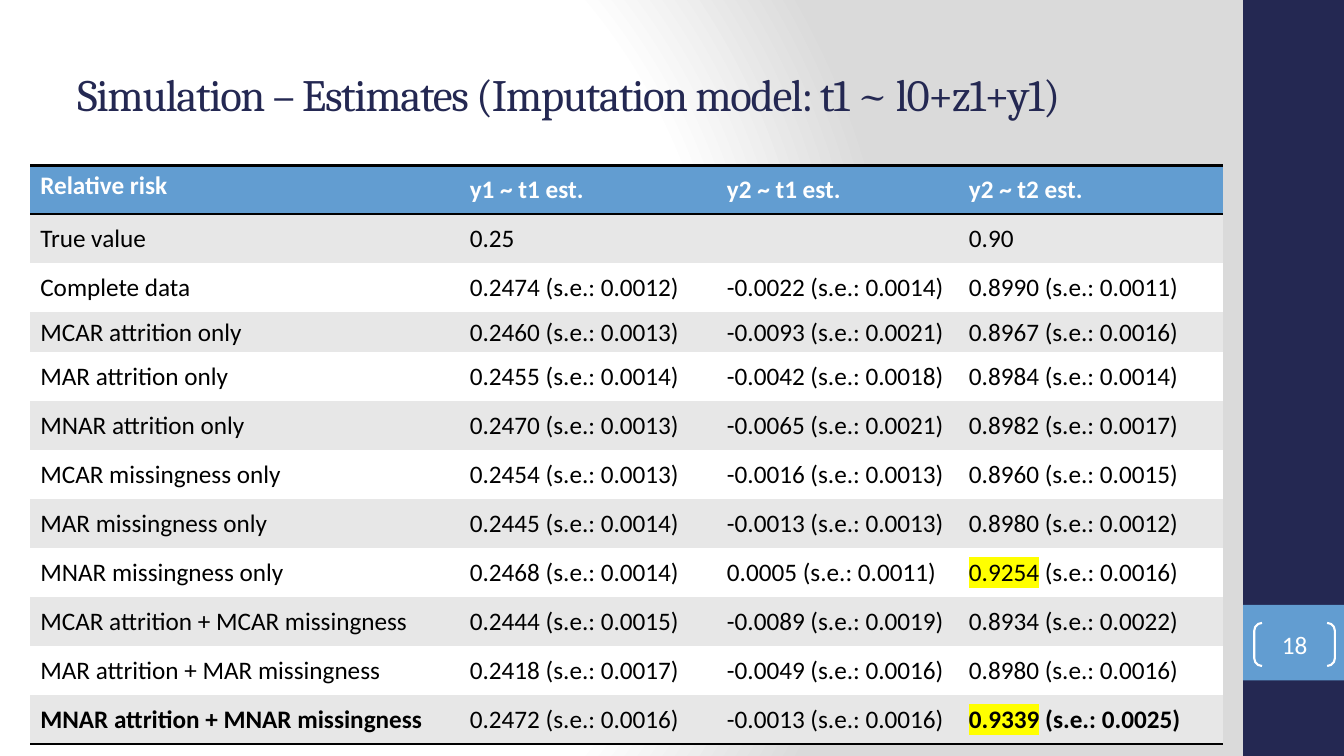
from dataclasses import dataclass

from lxml import etree
from pptx import Presentation
from pptx.dml.color import RGBColor
from pptx.enum.shapes import MSO_SHAPE
from pptx.enum.text import MSO_ANCHOR, PP_ALIGN
from pptx.oxml import parse_xml
from pptx.oxml.ns import qn
from pptx.util import Inches, Pt

RECTANGLE = MSO_SHAPE.RECTANGLE
BRACKETS = MSO_SHAPE.DOUBLE_BRACKET
TOP, MIDDLE = MSO_ANCHOR.TOP, MSO_ANCHOR.MIDDLE
CENTER = PP_ALIGN.CENTER
NAMESPACE = "http://schemas.openxmlformats.org/drawingml/2006/main"
PLAIN_TABLE_STYLE = "{2D5ABB26-0587-4C30-8999-92F81FD0307C}"


@dataclass(frozen=True)
class Theme:
    """Colours, fonts and type sizes of the slide."""
    navy: str = "242852"
    blue: str = "629DD1"
    white: str = "FFFFFF"
    black: str = "000000"
    band: str = "E7E7E7"
    edge: str = "DADADA"
    marker: str = "FFFF00"
    title_font: str = "Cambria"
    body_font: str = "Calibri"
    title_size: int = 32
    body_size: int = 18
    rule: int = 2


@dataclass(frozen=True)
class Box:
    """A rectangle in inches."""
    left: float
    top: float
    width: float
    height: float

    def portion(self, left, top, width, height):
        """Return the box covering the given shares of this one."""
        return Box(self.left + left * self.width, self.top + top * self.height,
                   width * self.width, height * self.height)

    def lengths(self):
        """Return left, top, width and height for python-pptx."""
        return [Inches(value) for value in (self.left, self.top, self.width, self.height)]


THEME = Theme()
SLIDE = Box(0, 0, 13.33, 7.5)
TITLE = Box(0.67, 0.3, 11.11, 1.25)
TABLE = Box(0.3, 1.64, 11.84, 5.72)
SIDEBAR = Box(12.33, 0, 1, 7.5)
COLUMN_WIDTHS = (4.26, 2.55, 2.4, 2.62)
SHORT_ROW, SHORT_HEIGHT = 3, 0.38

HEADER = ("Relative risk", "y1 ~ t1 est.", "y2 ~ t1 est.", "y2 ~ t2 est.")
ESTIMATES = (
    ("True value", "0.25", "", "0.90"),
    ("Complete data", "0.2474 (s.e.: 0.0012)", "-0.0022 (s.e.: 0.0014)", "0.8990 (s.e.: 0.0011)"),
    ("MCAR attrition only", "0.2460 (s.e.: 0.0013)", "-0.0093 (s.e.: 0.0021)", "0.8967 (s.e.: 0.0016)"),
    ("MAR attrition only", "0.2455 (s.e.: 0.0014)", "-0.0042 (s.e.: 0.0018)", "0.8984 (s.e.: 0.0014)"),
    ("MNAR attrition only", "0.2470 (s.e.: 0.0013)", "-0.0065 (s.e.: 0.0021)", "0.8982 (s.e.: 0.0017)"),
    ("MCAR missingness only", "0.2454 (s.e.: 0.0013)", "-0.0016 (s.e.: 0.0013)", "0.8960 (s.e.: 0.0015)"),
    ("MAR missingness only", "0.2445 (s.e.: 0.0014)", "-0.0013 (s.e.: 0.0013)", "0.8980 (s.e.: 0.0012)"),
    ("MNAR missingness only", "0.2468 (s.e.: 0.0014)", "0.0005 (s.e.: 0.0011)", "0.9254 (s.e.: 0.0016)"),
    ("MCAR attrition + MCAR missingness", "0.2444 (s.e.: 0.0015)", "-0.0089 (s.e.: 0.0019)",
     "0.8934 (s.e.: 0.0022)"),
    ("MAR attrition + MAR missingness", "0.2418 (s.e.: 0.0017)", "-0.0049 (s.e.: 0.0016)",
     "0.8980 (s.e.: 0.0016)"),
    ("MNAR attrition + MNAR missingness", "0.2472 (s.e.: 0.0016)", "-0.0013 (s.e.: 0.0016)",
     "0.9339 (s.e.: 0.0025)"),
)
MARKED_VALUES = ("0.9254", "0.9339")
BOLD_CELLS = {(len(ESTIMATES), 0), (len(ESTIMATES), 3)}


def color(value):
    """Turn a hex string into a colour."""
    return RGBColor.from_string(value)


def add_run(paragraph, text, text_color, font=THEME.body_font, size=THEME.body_size, bold=False):
    """Add one formatted run to a paragraph."""
    run = paragraph.add_run()
    run.text = text
    run.font.name, run.font.size, run.font.bold = font, Pt(size), bold
    run.font.color.rgb = color(text_color)
    return run


def highlight(run):
    """Put the marker colour behind a run."""
    mark = etree.Element(qn("a:highlight"))
    etree.SubElement(mark, qn("a:srgbClr"), val=THEME.marker)
    run._r.get_or_add_rPr().find(qn("a:solidFill")).addnext(mark)


def paint_background(slide):
    """Fill the slide with a circular white to grey gradient."""
    fill = slide.background.fill
    fill.solid()
    fill.fore_color.rgb = color(THEME.white)
    stops = "".join(
        f'<a:gs pos="{share * 1000}"><a:srgbClr val="{value}"/></a:gs>'
        for share, value in ((0, THEME.white), (75, THEME.white), (100, THEME.edge)))
    gradient = parse_xml(
        f'<a:gradFill xmlns:a="{NAMESPACE}" rotWithShape="1"><a:gsLst>{stops}</a:gsLst>'
        '<a:path path="circle"><a:fillToRect l="20000" t="50000" r="100000" b="50000"/></a:path>'
        '</a:gradFill>')
    solid = next(slide.element.iter(qn("a:solidFill")))
    solid.getparent().replace(solid, gradient)


def add_sidebar(slide, box):
    """Draw the right-hand band with the bracketed slide number."""
    for area, fill in ((box, THEME.navy), (box.portion(0, 0.8, 1, 0.1), THEME.blue)):
        band = slide.shapes.add_shape(RECTANGLE, *area.lengths())
        band.shadow.inherit = False
        band.fill.solid()
        band.fill.fore_color.rgb = color(fill)
        band.line.fill.background()
    brackets = slide.shapes.add_shape(BRACKETS, *box.portion(0.11, 0.824, 0.8, 0.057).lengths())
    brackets.shadow.inherit = False
    brackets.adjustments[0] = 0.18
    brackets.fill.background()
    brackets.line.color.rgb = color(THEME.white)
    brackets.line.width = Pt(1.5)
    frame = brackets.text_frame
    frame.margin_left = frame.margin_right = frame.margin_top = frame.margin_bottom = 0
    frame.vertical_anchor = MIDDLE
    frame.paragraphs[0].alignment = CENTER
    add_run(frame.paragraphs[0], "18", THEME.white)


def add_title(slide, box):
    """Write the slide title."""
    frame = slide.shapes.add_textbox(*box.lengths()).text_frame
    frame.word_wrap = True
    frame.vertical_anchor = MIDDLE
    run = add_run(frame.paragraphs[0], "Simulation – Estimates (Imputation model: t1 ~ l0+z1+y1)",
                  THEME.navy, THEME.title_font, THEME.title_size)
    run._r.get_or_add_rPr().set("spc", "-100")


def add_rules(cell, sides):
    """Draw black rules on the given sides of a cell."""
    properties = cell._tc.get_or_add_tcPr()
    for position, side in enumerate(sides):
        properties.insert(position, parse_xml(
            f'<a:ln{side} xmlns:a="{NAMESPACE}" w="{Pt(THEME.rule)}"><a:solidFill>'
            f'<a:srgbClr val="{THEME.black}"/></a:solidFill></a:ln{side}>'))


def fill_cell(cell, text, row, column):
    """Write and colour one table cell."""
    is_header = row == 0
    fill = THEME.blue if is_header else THEME.band if row % 2 else THEME.white
    cell.fill.solid()
    cell.fill.fore_color.rgb = color(fill)
    cell.vertical_anchor = TOP if is_header and column == 0 else MIDDLE
    paragraph = cell.text_frame.paragraphs[0]
    text_color = THEME.white if is_header else THEME.black
    bold = is_header or (row, column) in BOLD_CELLS
    value, space, rest = text.partition(" ")
    if value in MARKED_VALUES:
        highlight(add_run(paragraph, value, text_color, bold=bold))
        text = space + rest
    if text:
        add_run(paragraph, text, text_color, bold=bold)


def add_estimates(slide, box):
    """Build the table of estimates."""
    rows = (HEADER, *ESTIMATES)
    table = slide.shapes.add_table(len(rows), len(HEADER), *box.lengths()).table
    table.first_row = table.horz_banding = False
    table._tbl.tblPr.find(qn("a:tableStyleId")).text = PLAIN_TABLE_STYLE
    for column, width in zip(table.columns, COLUMN_WIDTHS):
        column.width = Inches(width)
    row_height = (box.height - SHORT_HEIGHT) / (len(rows) - 1)
    for row, texts in enumerate(rows):
        table.rows[row].height = Inches(SHORT_HEIGHT if row == SHORT_ROW else row_height)
        for column, text in enumerate(texts):
            cell = table.cell(row, column)
            fill_cell(cell, text, row, column)
            add_rules(cell, "TB" if row == 0 else "B" if row == len(rows) - 1 else "")


def main():
    """Build and save the presentation."""
    presentation = Presentation()
    presentation.slide_width, presentation.slide_height = SLIDE.lengths()[2:]
    slide = presentation.slides.add_slide(presentation.slide_layouts[6])
    paint_background(slide)
    add_sidebar(slide, SIDEBAR)
    add_title(slide, TITLE)
    add_estimates(slide, TABLE)
    presentation.save("out.pptx")


if __name__ == "__main__":
    main()
